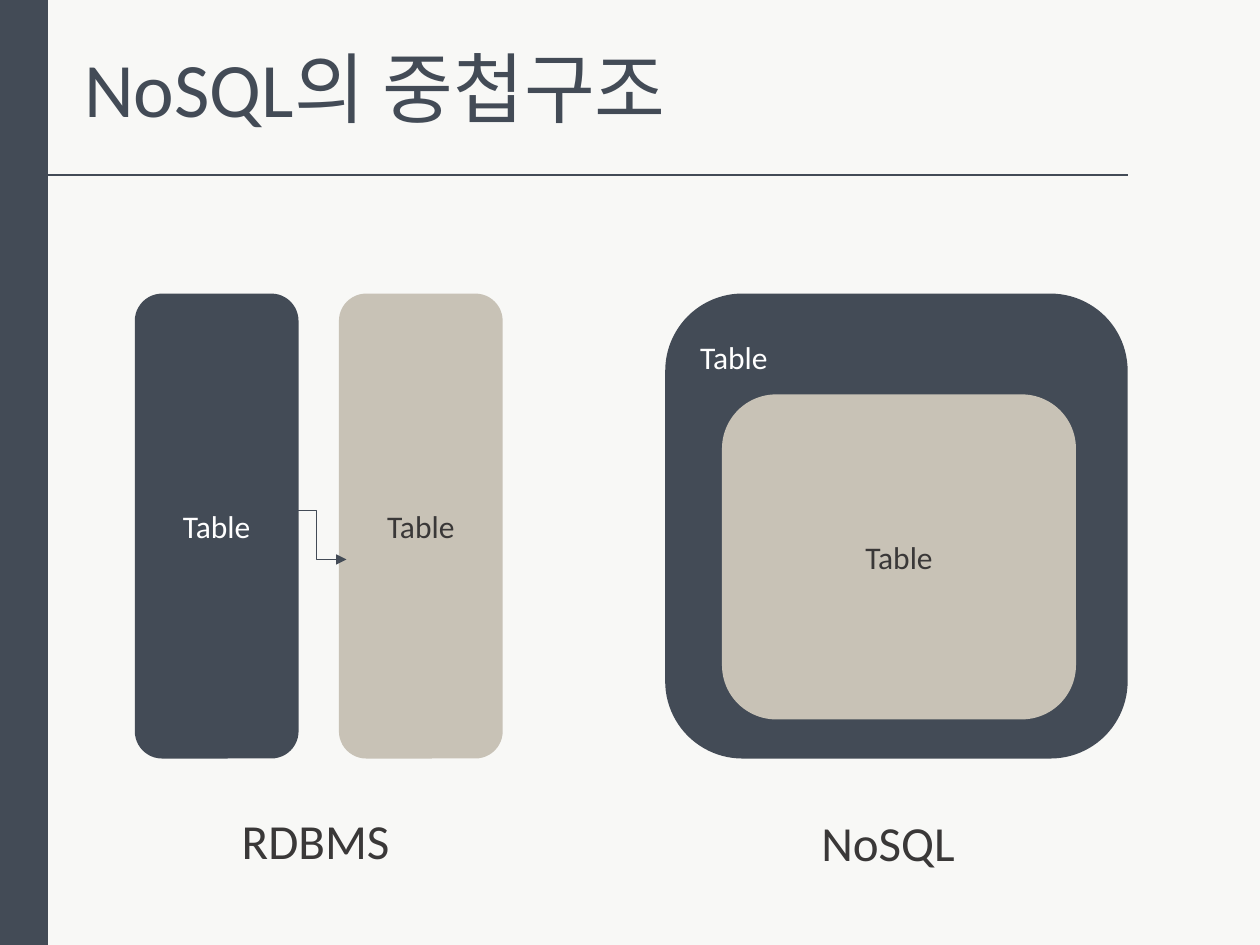
import pptx
import pptx.util
import pptx.dml.color
import pptx.enum.shapes
import pptx.enum.text
import pptx.oxml
import pptx.oxml.ns
from pptx.util import Inches

COLORS = {"paper": "F8F8F6", "slate": "434B56", "sand": "C8C2B6",
          "white": "FFFFFF", "ink": "3A3838"}
FONT = "Calibri"
SHAPES = pptx.enum.shapes.MSO_SHAPE
CONNECTORS = pptx.enum.shapes.MSO_CONNECTOR
ANCHORS = pptx.enum.text.MSO_ANCHOR
ALIGNS = pptx.enum.text.PP_ALIGN

SIDEBAR_WIDTH = 0.38
RULE_Y, RULE_END = 1.39, 8.95
CORNER = 0.167

LABELS = [
    ("NoSQL의 중첩구조", 0.57, 0.27, 5.11, 0.84, 44, "slate"),
    ("RDBMS", 1.82, 6.38, 1.39, 0.57, 28, "ink"),
    ("NoSQL", 6.42, 6.4, 1.27, 0.57, 28, "ink"),
]
TABLES = [
    ("Table", 1.07, 2.33, 1.3, 3.69, "slate", "white", "middle"),
    ("Table", 2.69, 2.33, 1.3, 3.69, "sand", "ink", "middle"),
    ("Table", 5.28, 2.33, 3.67, 3.69, "slate", "white", "top"),
    ("Table", 5.73, 3.13, 2.81, 2.58, "sand", "ink", "middle"),
]
RELATION = (2.28, 4.05, 2.75, 4.44)


def rgb(name):
    return pptx.dml.color.RGBColor.from_string(COLORS[name])


def write(frame, words, size, color, align):
    paragraph = frame.paragraphs[0]
    paragraph.text = words
    paragraph.alignment = align
    paragraph.font.name = FONT
    paragraph.font.size = pptx.util.Pt(size)
    paragraph.font.color.rgb = rgb(color)


def add_block(slide, preset, box, fill):
    block = slide.shapes.add_shape(preset, *map(Inches, box))
    block.shadow.inherit = False
    block.fill.solid()
    block.fill.fore_color.rgb = rgb(fill)
    block.line.fill.background()
    return block


def add_table_box(slide, words, left, top, width, height, fill, color, place):
    table_box = add_block(slide, SHAPES.ROUNDED_RECTANGLE,
                          (left, top, width, height), fill)
    table_box.adjustments[0] = CORNER
    frame = table_box.text_frame
    if place == "top":
        frame.vertical_anchor = ANCHORS.TOP
        frame.margin_top = Inches(0.17)
        align = ALIGNS.LEFT
    else:
        frame.vertical_anchor = ANCHORS.MIDDLE
        align = ALIGNS.CENTER
    write(frame, words, 18, color, align)


def add_label(slide, words, left, top, width, height, size, color):
    label = slide.shapes.add_textbox(*map(Inches, (left, top, width, height)))
    label.text_frame.word_wrap = False
    write(label.text_frame, words, size, color, ALIGNS.LEFT)


def add_line(slide, kind, ends):
    line = slide.shapes.add_connector(kind, *map(Inches, ends))
    line.line.color.rgb = rgb("slate")
    line.line.width = pptx.util.Pt(0.75)
    properties = line._element.spPr
    properties.append(pptx.oxml.parse_xml(
        f"<a:effectLst {pptx.oxml.ns.nsdecls('a')}/>"))
    return line


def main():
    deck = pptx.Presentation()
    deck.slide_width, deck.slide_height = Inches(10), Inches(7.5)
    slide = deck.slides.add_slide(deck.slide_layouts[6])
    slide.background.fill.solid()
    slide.background.fill.fore_color.rgb = rgb("paper")

    add_block(slide, SHAPES.RECTANGLE, (0, 0, SIDEBAR_WIDTH, 7.5), "slate")
    add_line(slide, CONNECTORS.STRAIGHT,
             (SIDEBAR_WIDTH, RULE_Y, RULE_END, RULE_Y))
    for label in LABELS:
        add_label(slide, *label)
    for table in TABLES:
        add_table_box(slide, *table)

    relation = add_line(slide, CONNECTORS.ELBOW, RELATION)
    relation.line._get_or_add_ln().append(pptx.oxml.parse_xml(
        f"<a:tailEnd {pptx.oxml.ns.nsdecls('a')} type='triangle'/>"))

    deck.save("out.pptx")


if __name__ == "__main__":
    main()
